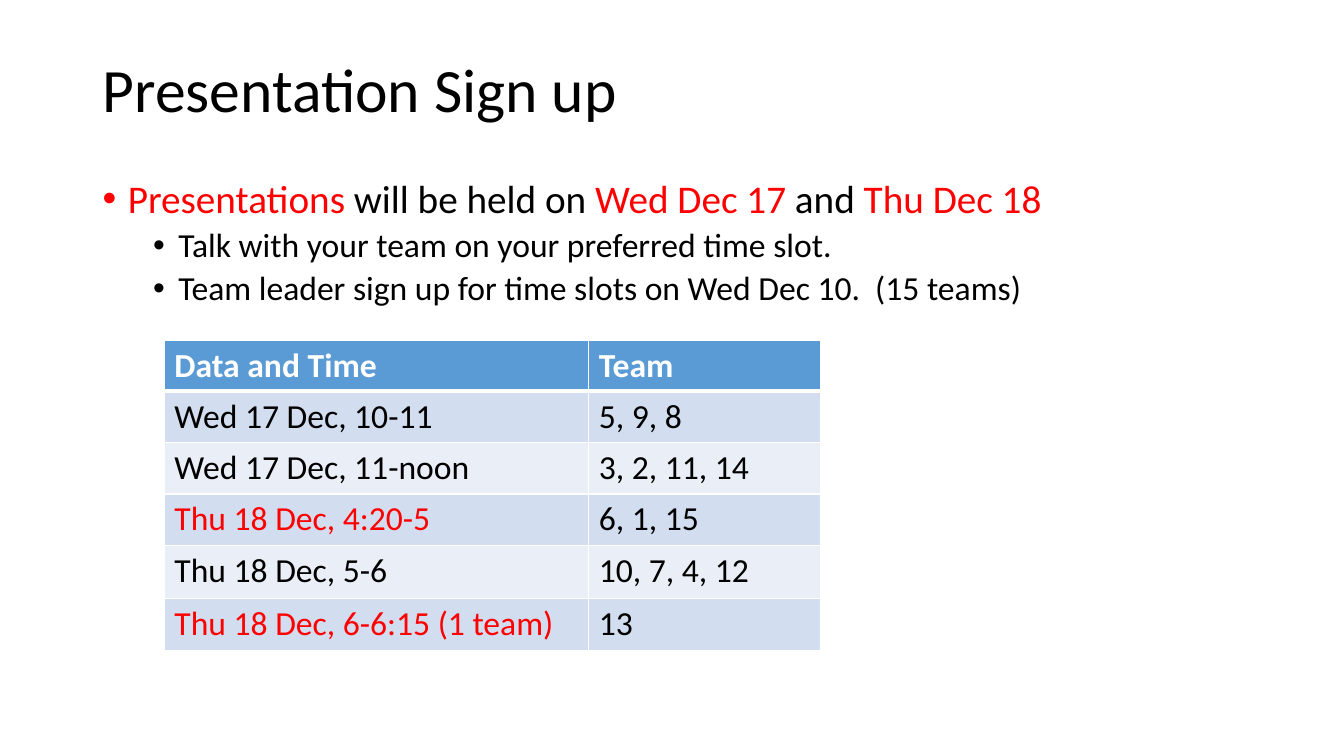
from lxml import etree
from pptx import Presentation
from pptx.dml.color import RGBColor
from pptx.enum.text import MSO_ANCHOR
from pptx.oxml.ns import qn
from pptx.util import Inches, Pt

FONT = "Calibri"
BLACK, WHITE, RED = "000000", "FFFFFF", "FF0000"
HEADER_FILL, BAND_FILLS = "5B9BD5", ("D2DEEF", "EAEFF7")

BULLETS = [
    (0, [("Presentations", RED), (" will be held on ", BLACK), ("Wed Dec 17 ", RED),
         ("and", BLACK), (" Thu Dec 18", RED)]),
    (1, [("Talk with your team on your preferred time slot.", BLACK)]),
    (1, [("Team leader sign up for time slots on Wed Dec 10.  (15 teams)", BLACK)]),
]
HEADER = ("Data and Time", "Team")
SLOTS = [
    ("Wed 17 Dec, 10-11", "5, 9, 8", BLACK),
    ("Wed 17 Dec, 11-noon", "3, 2, 11, 14", BLACK),
    ("Thu 18 Dec, 4:20-5", "6, 1, 15", RED),
    ("Thu 18 Dec, 5-6", "10, 7, 4, 12", BLACK),
    ("Thu 18 Dec, 6-6:15 (1 team)", "13", RED),
]
COL_WIDTHS = (4.21, 2.3)
ROW_HEIGHTS = (0.5, 0.51, 0.51, 0.51, 0.53, 0.51)


def rgb(hex_color):
    return RGBColor.from_string(hex_color)


def add_run(p, text, *, size, color=BLACK, bold=False):
    r = p.add_run()
    r.text = text
    r.font.name = FONT
    r.font.size = Pt(size)
    r.font.bold = bold
    r.font.color.rgb = rgb(color)


def add_text_frame(slide, box, anchor=MSO_ANCHOR.TOP):
    tf = slide.shapes.add_textbox(*map(Inches, box)).text_frame
    tf.word_wrap = True
    tf.vertical_anchor = anchor
    return tf


def set_bullet(p, left, hanging):
    pPr = p._p.get_or_add_pPr()
    pPr.set("marL", str(Inches(left)))
    pPr.set("indent", str(-Inches(hanging)))
    etree.SubElement(pPr, qn("a:buFont")).set("typeface", "Arial")
    etree.SubElement(pPr, qn("a:buChar")).set("char", "•")


def set_borders(cell, top, bottom):
    """Draw white cell borders; top and bottom are widths in points."""
    tcPr = cell._tc.get_or_add_tcPr()
    for side, width in (("L", 1), ("R", 1), ("T", top), ("B", bottom)):
        ln = etree.SubElement(tcPr, qn(f"a:ln{side}"), w=str(Pt(width)))
        fill = etree.SubElement(ln, qn("a:solidFill"))
        etree.SubElement(fill, qn("a:srgbClr"), val=WHITE)


def add_title(slide, box):
    p = add_text_frame(slide, box, MSO_ANCHOR.MIDDLE).paragraphs[0]
    p.line_spacing = 0.9
    add_run(p, "Presentation Sign up", size=44)


def add_bullets(slide, box):
    tf = add_text_frame(slide, box)
    for i, (level, runs) in enumerate(BULLETS):
        p = tf.add_paragraph() if i else tf.paragraphs[0]
        p.level = level
        p.line_spacing = 0.9
        p.space_before = Pt(5 if i else 0)
        set_bullet(p, 0.25 + 0.5 * level, 0.25)
        for text, color in runs:
            add_run(p, text, size=28 - 4 * level, color=color)


def fill_cell(cell, row, text, color, bold, fill):
    set_borders(cell, top=3 if row == 1 else 1, bottom=3 if row == 0 else 1)
    cell.fill.solid()
    cell.fill.fore_color.rgb = rgb(fill)
    add_run(cell.text_frame.paragraphs[0], text, size=24, color=color, bold=bold)


def add_schedule(slide, left, top):
    box = (left, top, sum(COL_WIDTHS), sum(ROW_HEIGHTS))
    table = slide.shapes.add_table(
        len(ROW_HEIGHTS), len(COL_WIDTHS), *map(Inches, box)).table
    for column, width in zip(table.columns, COL_WIDTHS):
        column.width = Inches(width)
    for row, height in zip(table.rows, ROW_HEIGHTS):
        row.height = Inches(height)
    for col, text in enumerate(HEADER):
        fill_cell(table.cell(0, col), 0, text, WHITE, True, HEADER_FILL)
    for row, (time, teams, time_color) in enumerate(SLOTS, start=1):
        fill = BAND_FILLS[(row - 1) % 2]
        fill_cell(table.cell(row, 0), row, time, time_color, False, fill)
        fill_cell(table.cell(row, 1), row, teams, BLACK, False, fill)


def main():
    prs = Presentation()
    prs.slide_width, prs.slide_height = Inches(13.33), Inches(7.5)
    slide = prs.slides.add_slide(prs.slide_layouts[6])
    add_title(slide, (0.92, 0.4, 11.5, 1.03))
    add_bullets(slide, (0.92, 1.73, 11.5, 1.49))
    add_schedule(slide, 1.63, 3.38)
    prs.save("out.pptx")


if __name__ == "__main__":
    main()
